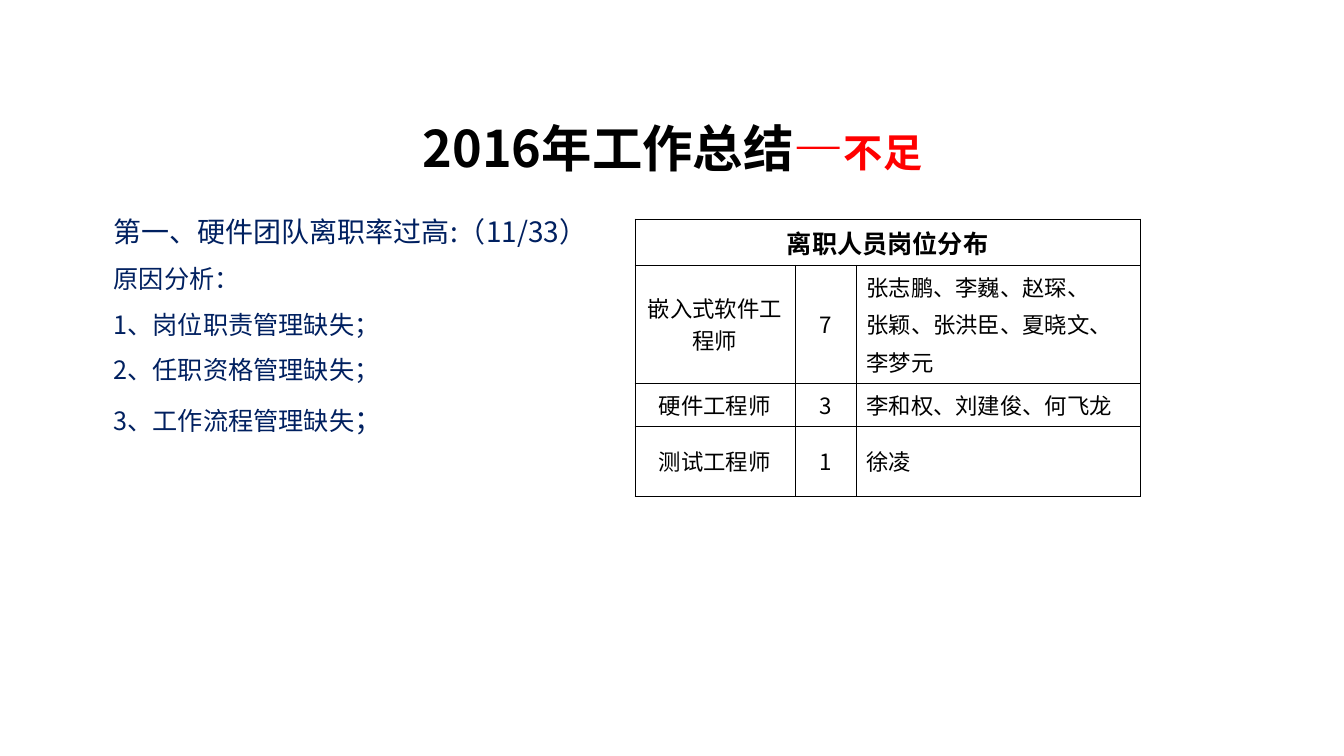
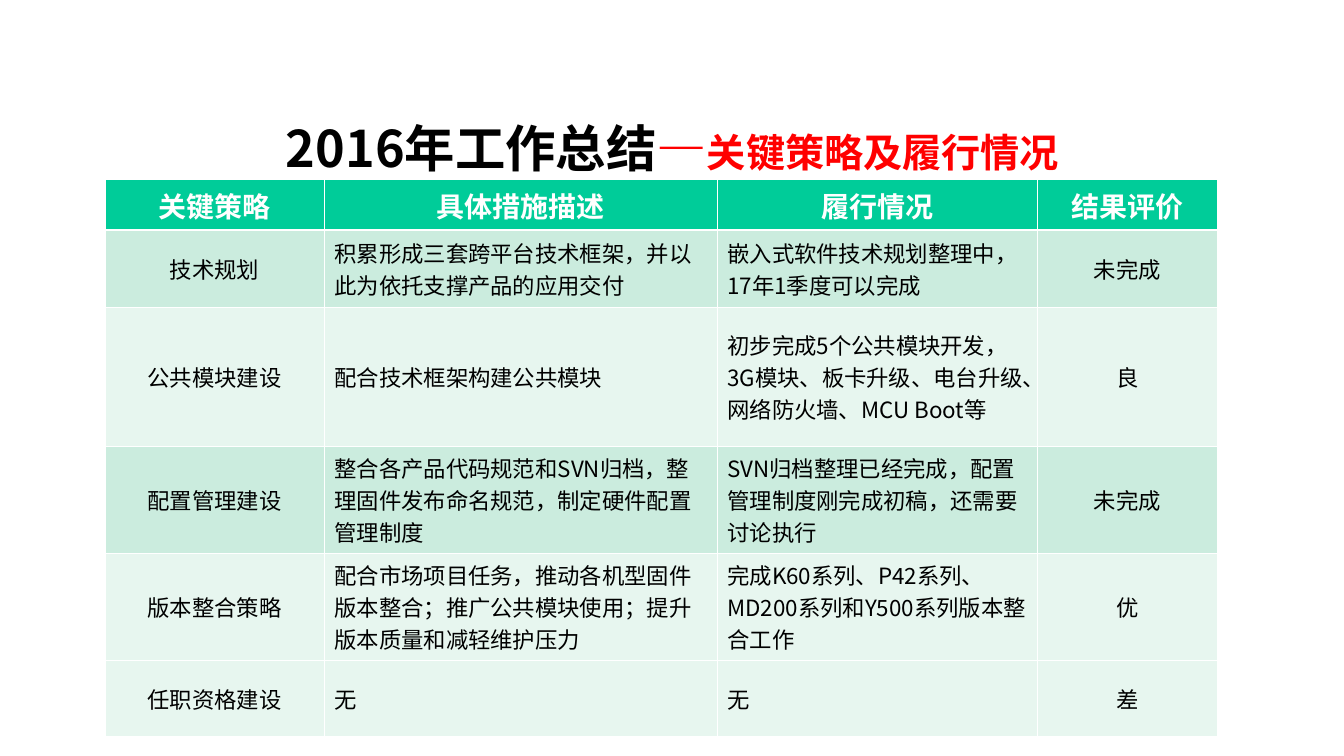
"""Build two slides on the 2016 work review: shortfalls and key strategies."""
import lxml.etree
import pptx
import pptx.dml.color
import pptx.enum.text
import pptx.oxml.ns
import pptx.util

RGB = pptx.dml.color.RGBColor
BLACK = RGB(0x00, 0x00, 0x00)
WHITE = RGB(0xFF, 0xFF, 0xFF)
RED = RGB(0xFF, 0x00, 0x00)
NAVY = RGB(0x00, 0x20, 0x60)
GREEN = RGB(0x00, 0xCC, 0x99)
MINT = RGB(0xCB, 0xEC, 0xDE)
PALE = RGB(0xE7, 0xF6, 0xEF)
FONT = "Noto Sans CJK SC"
PX = 9144
LEFT = pptx.enum.text.PP_ALIGN.LEFT
CENTER = pptx.enum.text.PP_ALIGN.CENTER
MIDDLE = pptx.enum.text.MSO_ANCHOR.MIDDLE
qn = pptx.oxml.ns.qn
Pt = pptx.util.Pt


def style(para, size, color, bold=False, align=LEFT):
    para.alignment = align
    font = para.font
    font.name, font.size, font.bold = FONT, Pt(size), bold
    font.color.rgb = color
    props = para._p.pPr.find(qn("a:defRPr"))
    lxml.etree.SubElement(props, qn("a:ea"), typeface=FONT)


def grid(slide, left, top, cols, rows, data, head, line, fills, prose):
    size, ink, rule = head
    shape = slide.shapes.add_table(len(rows), len(cols), left * PX, top * PX,
                                   sum(cols) * PX, sum(rows) * PX)
    table = shape.table
    table.first_row = table.horz_banding = False
    for col, width in zip(table.columns, cols):
        col.width = width * PX
    for r, (row, height) in enumerate(zip(table.rows, rows)):
        row.height = height * PX
        for c, cell in enumerate(row.cells):
            cell.vertical_anchor = MIDDLE
            props = cell._tc.get_or_add_tcPr()
            for side in "LRTB":
                thick = (r, side) in ((0, "B"), (1, "T"))
                edge = lxml.etree.SubElement(
                    props, qn("a:ln" + side), w=str(Pt(rule if thick else line[1])))
                fill = lxml.etree.SubElement(edge, qn("a:solidFill"))
                lxml.etree.SubElement(fill, qn("a:srgbClr"), val=str(line[0]))
            if fills:
                cell.fill.solid()
                cell.fill.fore_color.rgb = fills[r]
            else:
                cell.fill.background()
            if c >= len(data[r]):
                continue
            cell.text_frame.text = data[r][c]
            for p, para in enumerate(cell.text_frame.paragraphs):
                if p:
                    para.space_before = Pt(4)
                if r:
                    style(para, 16, BLACK, False, LEFT if c in prose else CENTER)
                else:
                    style(para, size, ink, True, CENTER)
    return table


deck = pptx.Presentation()
deck.slide_width, deck.slide_height = 1334 * PX, 750 * PX

for topic in ("不足", "关键策略及履行情况"):
    slide = deck.slides.add_slide(deck.slide_layouts[6])
    frame = slide.shapes.add_textbox(104 * PX, 115 * PX, 1127 * PX, 63 * PX).text_frame
    frame.word_wrap = True
    frame.vertical_anchor = MIDDLE
    title = frame.paragraphs[0]
    style(title, 36, BLACK, True, CENTER)
    for text, size, color in (("2016年工作总结", 36, BLACK), ("—", 36, RED), (topic, 28, RED)):
        run = title.add_run()
        run.text = text
        run.font.size = Pt(size)
        run.font.color.rgb = color

gaps, plan = deck.slides

frame = gaps.shapes.add_textbox(103 * PX, 198 * PX, 1127 * PX, 477 * PX).text_frame
frame.word_wrap = True
frame.text = "\n".join((
    "第一、硬件团队离职率过高:（11/33）",
    "原因分析：",
    "1、岗位职责管理缺失；",
    "2、任职资格管理缺失；",
    "3、工作流程管理缺失",
))
for para, size, before in zip(frame.paragraphs, (20, 18, 18, 18, 18), (0, 4.5, 4.5, 4.5, 5)):
    para.line_spacing = 1.3
    para.space_before = Pt(before)
    style(para, size, NAVY)
run = para.add_run()
run.text = "；"
run.font.size = Pt(20)

staff = [
    ["离职人员岗位分布"],
    ["嵌入式软件工程师", "7", "张志鹏、李巍、赵琛、\n张颖、张洪臣、夏晓文、\n李梦元"],
    ["硬件工程师", "3", "李和权、刘建俊、何飞龙"],
    ["测试工程师", "1", "徐凌"],
]
table = grid(gaps, 630, 217, (159, 61, 282), (46, 117, 43, 69), staff,
             (18, BLACK, 0.23), (BLACK, 0.23), None, {2})
table.cell(0, 0).merge(table.cell(0, 2))

goals = [
    ["关键策略", "具体措施描述", "履行情况", "结果评价"],
    ["技术规划", "积累形成三套跨平台技术框架，并以此为依托支撑产品的应用交付",
     "嵌入式软件技术规划整理中，17年1季度可以完成", "未完成"],
    ["公共模块建设", "配合技术框架构建公共模块",
     "初步完成5个公共模块开发，3G模块、板卡升级、电台升级、网络防火墙、MCU Boot等", "良"],
    ["配置管理建设", "整合各产品代码规范和SVN归档，整理固件发布命名规范，制定硬件配置管理制度",
     "SVN归档整理已经完成，配置管理制度刚完成初稿，还需要讨论执行", "未完成"],
    ["版本整合策略", "配合市场项目任务，推动各机型固件版本整合；推广公共模块使用；提升版本质量和减轻维护压力",
     "完成K60系列、P42系列、MD200系列和Y500系列版本整合工作", "优"],
    ["任职资格建设", "无", "无", "差"],
]
grid(plan, 104, 178, (218, 390, 318, 178), (50, 77, 138, 106, 106, 76), goals,
     (20, WHITE, 1.47), (WHITE, 0.45), (GREEN, MINT, PALE, MINT, PALE, PALE), {1, 2})

deck.save("out.pptx")
